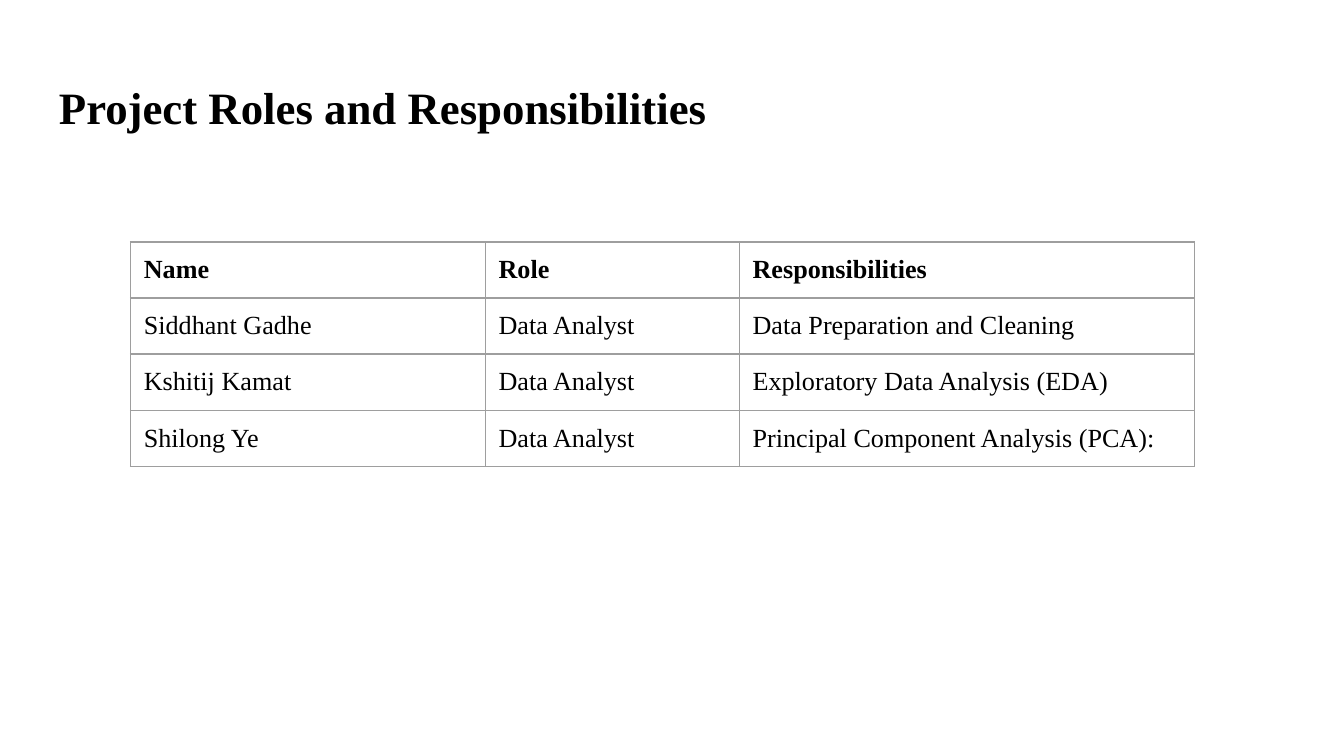
from lxml import etree
from pptx import Presentation
from pptx.dml.color import RGBColor
from pptx.enum.text import MSO_ANCHOR
from pptx.oxml.ns import qn
from pptx.util import Inches, Pt

BLACK = RGBColor(0, 0, 0)
GREY = RGBColor(0x9E, 0x9E, 0x9E)
FONT = "Times New Roman"
TOP = MSO_ANCHOR.TOP
MIDDLE = MSO_ANCHOR.MIDDLE

ROWS = [
    ("Name", "Role", "Responsibilities"),
    ("Siddhant Gadhe", "Data Analyst", "Data Preparation and Cleaning"),
    ("Kshitij Kamat", "Data Analyst", "Exploratory Data Analysis (EDA)"),
    ("Shilong Ye", "Data Analyst", "Principal Component Analysis (PCA):"),
]
WIDTHS = (2.64, 1.89, 3.39)


def add_text(frame, text, size, bold):
    run = frame.paragraphs[0].add_run()
    run.text = text
    run.font.name = FONT
    run.font.size = Pt(size)
    run.font.bold = bold
    run.font.color.rgb = BLACK


def set_pad(item, side, end):
    item.margin_left = item.margin_right = Inches(side)
    item.margin_top = item.margin_bottom = Inches(end)


def add_border(cell):
    props = cell._tc.get_or_add_tcPr()
    for index, side in enumerate(("lnL", "lnR", "lnT", "lnB")):
        line = etree.Element(qn(f"a:{side}"), w=str(Pt(0.75)))
        fill = etree.SubElement(line, qn("a:solidFill"))
        etree.SubElement(fill, qn("a:srgbClr"), val=str(GREY))
        props.insert(index, line)


def add_title(slide, left, top, width, height):
    box = slide.shapes.add_textbox(
        Inches(left), Inches(top), Inches(width), Inches(height))
    frame = box.text_frame
    frame.word_wrap = True
    frame.vertical_anchor = TOP
    set_pad(frame, 0.1, 0.1)
    add_text(frame, "Project Roles and Responsibilities", 24, True)


def add_roles(slide, left, top, width, height):
    table = slide.shapes.add_table(
        len(ROWS), len(WIDTHS), Inches(left), Inches(top),
        Inches(width), Inches(height)).table
    table.first_row = False
    table.horz_banding = False
    for column, size in zip(table.columns, WIDTHS):
        column.width = Inches(width * size / sum(WIDTHS))
    for row, texts in enumerate(ROWS):
        for col, text in enumerate(texts):
            cell = table.cell(row, col)
            cell.fill.background()
            cell.vertical_anchor = MIDDLE
            set_pad(cell, 0.1, 0.09)
            add_border(cell)
            add_text(cell.text_frame, text, 14, row == 0)


def main():
    deck = Presentation()
    deck.slide_width = Inches(10)
    deck.slide_height = deck.slide_width * 9 // 16
    slide = deck.slides.add_slide(deck.slide_layouts[6])
    add_title(slide, 0.34, 0.49, 9.32, 0.68)
    add_roles(slide, 0.97, 1.8, 7.92, 1.67)
    deck.save("out.pptx")


if __name__ == "__main__":
    main()
